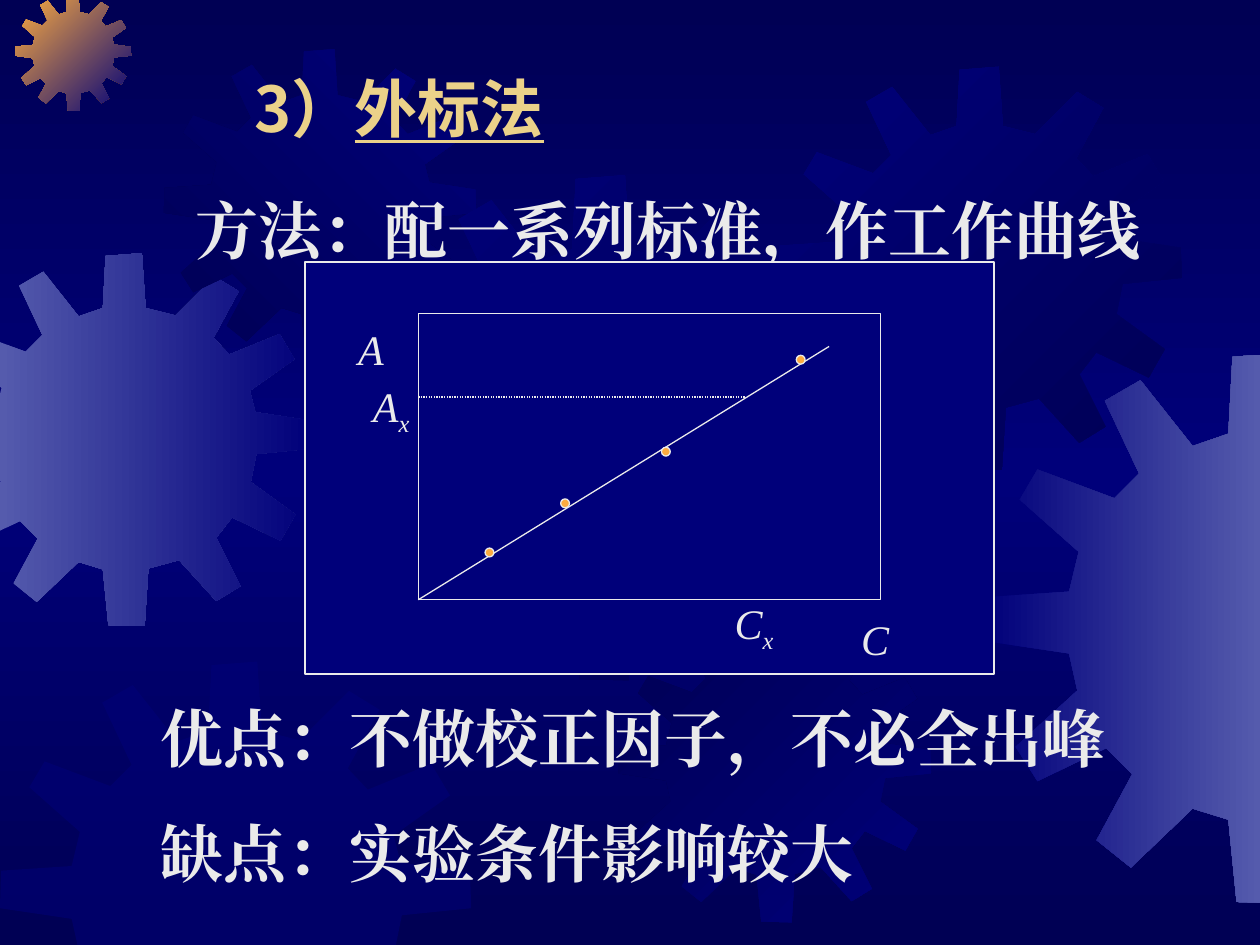
from copy import deepcopy

from lxml import etree
from pptx import Presentation
from pptx.dml.color import RGBColor
from pptx.enum.dml import MSO_LINE
from pptx.enum.shapes import MSO_CONNECTOR, MSO_SHAPE
from pptx.enum.text import MSO_ANCHOR, MSO_AUTO_SIZE, PP_ALIGN
from pptx.oxml.ns import qn
from pptx.util import Inches, Pt

LEFT, CENTER, JUSTIFY = PP_ALIGN.LEFT, PP_ALIGN.CENTER, PP_ALIGN.JUSTIFY
WIDTH, HEIGHT = 10, 7.5
SANS, SERIF = "Noto Sans CJK SC", "Times New Roman"
COLORS = {"dark": "000054", "navy": "00007A", "haze": "555BAD",
          "orange": "FCAB40", "gold": "EBD189", "white": "EAEAEA"}

# One gear outline on a grid of 401 units; every gear scales it.
GEAR_UNITS = 401
GEAR_OUTLINE = [
    (255, 67), (223, 59), (219, 0), (180, 3), (177, 59), (151, 68), (113, 20), (87, 35),
    (112, 88), (94, 106), (38, 85), (25, 107), (68, 145), (61, 174), (1, 178), (0, 210),
    (61, 219), (67, 246), (22, 287), (38, 312), (88, 288), (107, 307), (81, 355), (106, 375),
    (151, 332), (177, 340), (183, 400), (222, 401), (226, 339), (259, 330), (299, 374),
    (325, 358), (299, 306), (316, 284), (368, 309), (384, 281), (336, 246), (342, 216),
    (401, 210), (400, 180), (341, 171), (335, 148), (383, 114), (367, 87), (313, 109),
    (296, 91), (323, 41), (297, 25)]
# left, top, size, colours, clockwise angle
GEARS = [
    (-0.49, 2.01, 2.96, ("haze", "navy"), 0),
    (0.12, -0.04, 0.92, ("orange", "navy"), 45),
    (1.3, 0.39, 2.48, ("dark", "navy"), 315),
    (2.77, 1.39, 4.01, ("navy", "dark"), 45),
    (0, 5.25, 3.74, ("navy",), 0),
    (4.91, 4.84, 2.48, ("dark", "navy"), 45),
    (6.18, 0.53, 3.2, ("navy", "dark"), 45),
    (7.82, 2.8, 4.37, ("navy", "haze"), 0)]

HEADING = [("3）", {}), ("外标法", {"underline": True})]
METHOD = "方法：配一系列标准，作工作曲线"
REMARKS = ["优点：不做校正因子，不必全出峰", "缺点：实验条件影响较大"]

PANEL = (2.42, 2.08, 5.47, 3.27)
PLOT = (3.32, 2.49, 3.67, 2.27)
CURVE = (3.32, 4.76, 6.58, 2.75)
READING = (3.32, 3.15, 5.91, 3.15)
DOT = 0.07
DOTS = [(3.85, 4.35), (4.45, 3.96), (5.25, 3.55), (6.32, 2.82)]
# letter, subscript, place, wraps
LABELS = [("A", "", (2.61, 2.52, 0.67, 0.5), True),
          ("C", "", (6.66, 4.82, 0.57, 0.5), True),
          ("A", "x", (2.86, 2.97, 0.49, 0.56), False),
          ("C", "x", (5.45, 4.69, 1.07, 0.56), True)]


def rgb(name):
    return RGBColor.from_string(COLORS[name])


def inches(values):
    return [Inches(value) for value in values]


def set_gradient(fill, names, angle):
    fill.gradient()
    fill.gradient_angle = -angle % 360
    stops = fill.gradient_stops
    if len(names) > len(stops):
        last = stops[-1]._gs
        last.addnext(deepcopy(last))
        stops = fill.gradient_stops
    for index, (stop, name) in enumerate(zip(stops, names)):
        stop.color.rgb = rgb(name)
        stop.position = index / (len(names) - 1)


def clip(points, axis, limit, sign):
    """Keep the part of a polygon where sign * coordinate <= sign * limit."""
    kept = []
    for start, end in zip(points[-1:] + points[:-1], points):
        start_in, end_in = (sign * point[axis] <= sign * limit for point in (start, end))
        if start_in != end_in:
            share = (limit - start[axis]) / (end[axis] - start[axis])
            kept.append(tuple(a + share * (b - a) for a, b in zip(start, end)))
        if end_in:
            kept.append(end)
    return kept


def add_gear(shapes, left, top, size, names, angle):
    scale = size / GEAR_UNITS
    points = [(left + x * scale, top + y * scale) for x, y in GEAR_OUTLINE]
    for axis, limit in enumerate((WIDTH, HEIGHT)):
        points = clip(clip(points, axis, 0, -1), axis, limit, 1)
    points = [inches(point) for point in points]
    builder = shapes.build_freeform(*points[0])
    builder.add_line_segments(points[1:], close=True)
    gear = builder.convert_to_shape()
    gear.shadow.inherit = False
    gear.line.fill.background()
    if len(names) > 1:
        set_gradient(gear.fill, names, angle)
    else:
        gear.fill.solid()
        gear.fill.fore_color.rgb = rgb(names[0])
        color = gear._element.spPr.find(".//" + qn("a:srgbClr"))
        etree.SubElement(color, qn("a:alpha"), val="50000")


def add_span(para, text, size, color, font=SERIF, **styles):
    span = para.add_run()
    span.text = text
    span.font.size, span.font.name = Pt(size), font
    span.font.color.rgb = rgb(color)
    for name, value in styles.items():
        setattr(span.font, name, value)
    etree.SubElement(span._r.get_or_add_rPr(), qn("a:ea"), typeface=font)
    return span


def place_box(box, place, wrap=True):
    box.left, box.top, box.width, box.height = inches(place)
    frame = box.text_frame
    frame.word_wrap = wrap
    frame.auto_size = MSO_AUTO_SIZE.NONE
    frame.vertical_anchor = MSO_ANCHOR.TOP
    return frame


def set_outline(shape):
    shape.line.color.rgb = rgb("white")
    shape.line.width = Pt(0.75)


def add_figure(shapes, kind, place, fill=None):
    figure = shapes.add_shape(kind, *inches(place))
    figure.shadow.inherit = False
    set_outline(figure)
    if fill:
        figure.fill.solid()
        figure.fill.fore_color.rgb = rgb(fill)
    else:
        figure.fill.background()


def add_line(shapes, ends):
    line = shapes.add_connector(MSO_CONNECTOR.STRAIGHT, *inches(ends))
    set_outline(line)
    etree.SubElement(line._element.spPr, qn("a:effectLst"))
    return line


def add_working_curve(shapes):
    add_figure(shapes, MSO_SHAPE.RECTANGLE, PANEL, "navy")
    add_figure(shapes, MSO_SHAPE.RECTANGLE, PLOT)
    add_line(shapes, CURVE)
    for dot in DOTS:
        add_figure(shapes, MSO_SHAPE.OVAL, (*dot, DOT, DOT), "orange")
    add_line(shapes, READING).line.dash_style = MSO_LINE.ROUND_DOT
    for letter, subscript, place, wrap in LABELS:
        frame = place_box(shapes.add_textbox(*inches(place)), place, wrap)
        para = frame.paragraphs[0]
        para.alignment = CENTER
        add_span(para, letter, 24, "white", italic=True)
        if subscript:
            span = add_span(para, subscript, 24, "white", italic=True)
            span._r.get_or_add_rPr().set("baseline", "-25000")


def main():
    deck = Presentation()
    deck.slide_width, deck.slide_height = inches((WIDTH, HEIGHT))
    page = deck.slides.add_slide(deck.slide_layouts[1])
    shapes = page.shapes
    set_gradient(page.background.fill, ("dark", "navy", "dark"), 90)
    title, body = shapes.title, page.placeholders[1]
    for gear in GEARS:
        add_gear(shapes, *gear)

    shapes._spTree.append(title._element)
    para = place_box(title, (1.92, 0.5, 4.58, 0.7)).paragraphs[0]
    para.alignment = LEFT
    for text, styles in HEADING:
        add_span(para, text, 36, "gold", SANS, bold=True, **styles)

    place = (1.45, 1.17, 7.88, 1)
    para = place_box(shapes.add_textbox(*inches(place)), place).paragraphs[0]
    para.alignment, para.line_spacing = JUSTIFY, 1.5
    add_span(para, METHOD, 36, "white", bold=True)

    add_working_curve(shapes.add_group_shape().shapes)

    shapes._spTree.append(body._element)
    frame = place_box(body, (1.17, 5.5, 8.33, 1.62))
    for index, text in enumerate(REMARKS):
        para = frame.add_paragraph() if index else frame.paragraphs[0]
        properties = para._p.get_or_add_pPr()
        properties.set("marL", "0")
        properties.set("indent", "0")
        etree.SubElement(properties, qn("a:buNone"))
        para.space_before = Pt(22.5 if index else 0)
        add_span(para, text, 36, "white", bold=True)
    deck.save("out.pptx")


if __name__ == "__main__":
    main()
